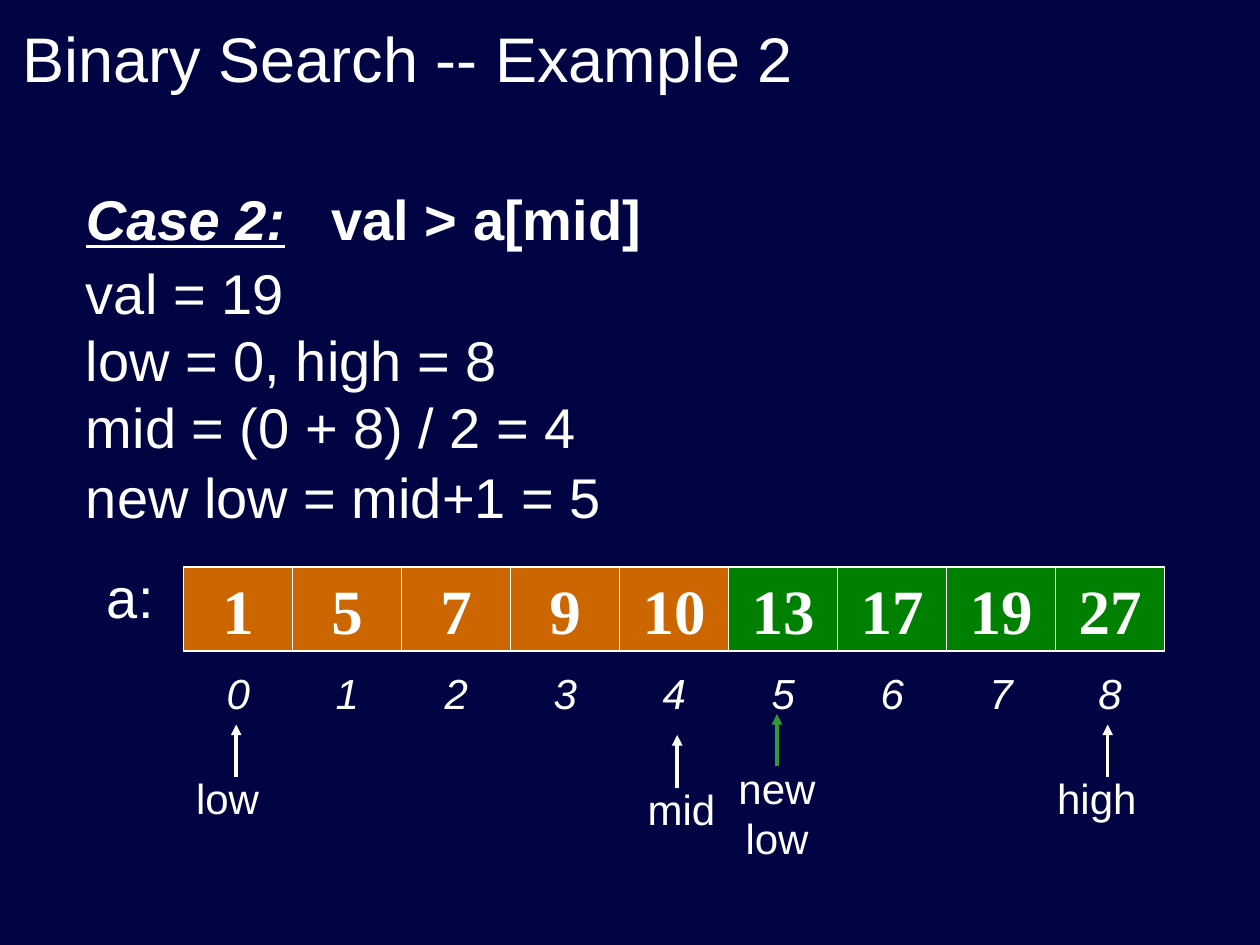
from lxml import etree
from pptx import Presentation
from pptx.dml.color import RGBColor
from pptx.enum.shapes import MSO_CONNECTOR, MSO_SHAPE
from pptx.enum.text import MSO_ANCHOR, PP_ALIGN
from pptx.oxml.ns import qn
from pptx.util import Inches, Pt

LEFT, CENTER = PP_ALIGN.LEFT, PP_ALIGN.CENTER
TOP, MIDDLE = MSO_ANCHOR.TOP, MSO_ANCHOR.MIDDLE
RECTANGLE, STRAIGHT = MSO_SHAPE.RECTANGLE, MSO_CONNECTOR.STRAIGHT

NAVY, WHITE, ORANGE, GREEN, ARROW_GREEN = (
    "010442", "FFFFFF", "CC6600", "008000", "339933")


def color(hex_text):
    return RGBColor.from_string(hex_text)


def grid(units):
    """The slide is a grid of 120 columns by 90 rows, 12 to the inch."""
    return Inches(units / 12)


class SlideBuilder:
    sans, serif = "Arial", "Times New Roman"

    def __init__(self, slide):
        self.slide = slide
        slide.background.fill.solid()
        slide.background.fill.fore_color.rgb = color(NAVY)

    def style(self, paragraph, size, font=sans, bold=False, italic=False, align=LEFT):
        paragraph.alignment = align
        face = paragraph.font
        face.name, face.size = font, Pt(size)
        face.bold, face.italic = bold, italic
        face.color.rgb = color(WHITE)

    def text(self, box, lines, size, anchor=TOP, wrap=True, **look):
        frame = self.slide.shapes.add_textbox(*map(grid, box)).text_frame
        frame.word_wrap, frame.vertical_anchor = wrap, anchor
        frame.text = lines
        for paragraph in frame.paragraphs:
            self.style(paragraph, size, **look)
        return frame

    def heading(self, box, label, statement, size, tab_inches):
        """An underlined label, then a statement at a tab stop."""
        paragraph = self.text(box, label, size, bold=True).paragraphs[0]
        label_font = paragraph.runs[0].font
        label_font.italic = label_font.underline = True
        paragraph.add_run().text = "\t" + statement
        tabs = etree.Element(qn("a:tabLst"))
        etree.SubElement(tabs, qn("a:tab"), pos=str(Inches(tab_inches)), algn="l")
        paragraph.font._element.addprevious(tabs)

    def cell(self, box, value, fill):
        cell = self.slide.shapes.add_shape(RECTANGLE, *map(grid, box))
        cell.shadow.inherit = False
        cell.fill.solid()
        cell.fill.fore_color.rgb = color(fill)
        cell.line.color.rgb = color(WHITE)
        cell.line.width = Pt(0.75)
        frame = cell.text_frame
        frame.word_wrap, frame.vertical_anchor = False, MIDDLE
        frame.text = str(value)
        self.style(frame.paragraphs[0], 36, font=self.serif, bold=True, align=CENTER)

    def up_arrow(self, column, bottom, length, line_color):
        arrow = self.slide.shapes.add_connector(
            STRAIGHT, *map(grid, (column, bottom, column, bottom - length)))
        arrow.line.color.rgb = color(line_color)
        arrow.line.width = Pt(2)
        etree.SubElement(arrow.line._get_or_add_ln(), qn("a:tailEnd"), type="triangle")
        etree.SubElement(arrow._element.spPr, qn("a:effectLst"))


def main():
    deck = Presentation()
    deck.slide_width, deck.slide_height = grid(120), grid(90)
    builder = SlideBuilder(deck.slides.add_slide(deck.slide_layouts[6]))

    # Title and the worked case
    builder.text((1, 1, 102, 9), "Binary Search -- Example 2", 36, anchor=MIDDLE)
    builder.heading((7, 17, 62, 7.6), "Case 2:", "val > a[mid]", 32, 1.95)
    builder.text((7, 24, 52, 20.4),
                 "val = 19\nlow = 0, high = 8\nmid = (0 + 8) / 2 = 4", 32)
    builder.text((7, 43.5, 54, 7.6), "new low = mid+1 = 5", 32)

    # Array: the half still searched is green
    builder.text((9, 53, 8, 7.6), "a:", 32)
    array_left, array_top, cell_width, cell_height = 17.5, 54, 10.38, 8
    new_low = 5
    for index, value in enumerate([1, 5, 7, 9, 10, 13, 17, 19, 27]):
        left = array_left + index * cell_width
        builder.cell((left, array_top, cell_width, cell_height), value,
                     GREEN if index >= new_low else ORANGE)
        builder.text((left, array_top + cell_height, cell_width, cell_height),
                     str(index), 24, anchor=MIDDLE, wrap=False, italic=True,
                     align=CENTER)

    # Pointers: label, left, top, width, height, arrow column, colour, alignment
    pointers = [
        ("low", 17.5, 73, 12, 6, 22.5, WHITE, LEFT),
        ("mid", 60.5, 74, 9, 6, 64.5, WHITE, LEFT),
        ("new low", 67, 72, 14, 10.8, 74, ARROW_GREEN, CENTER),
        ("high", 99.5, 73, 14, 6, 105.5, WHITE, LEFT),
    ]
    for label, left, top, width, height, column, line_color, align in pointers:
        builder.text((left, top, width, height), label, 24, align=align)
        builder.up_arrow(column, top + 1, 5, line_color)

    deck.save("out.pptx")


if __name__ == "__main__":
    main()
